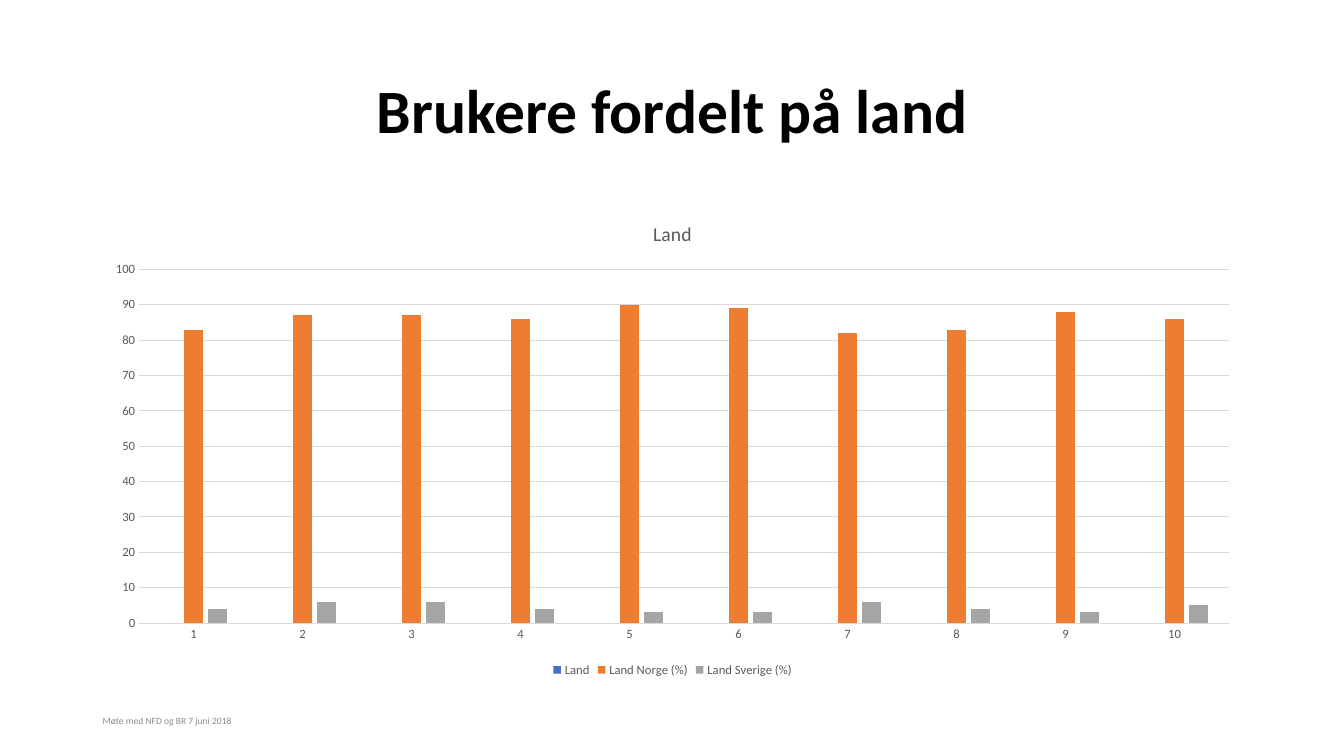
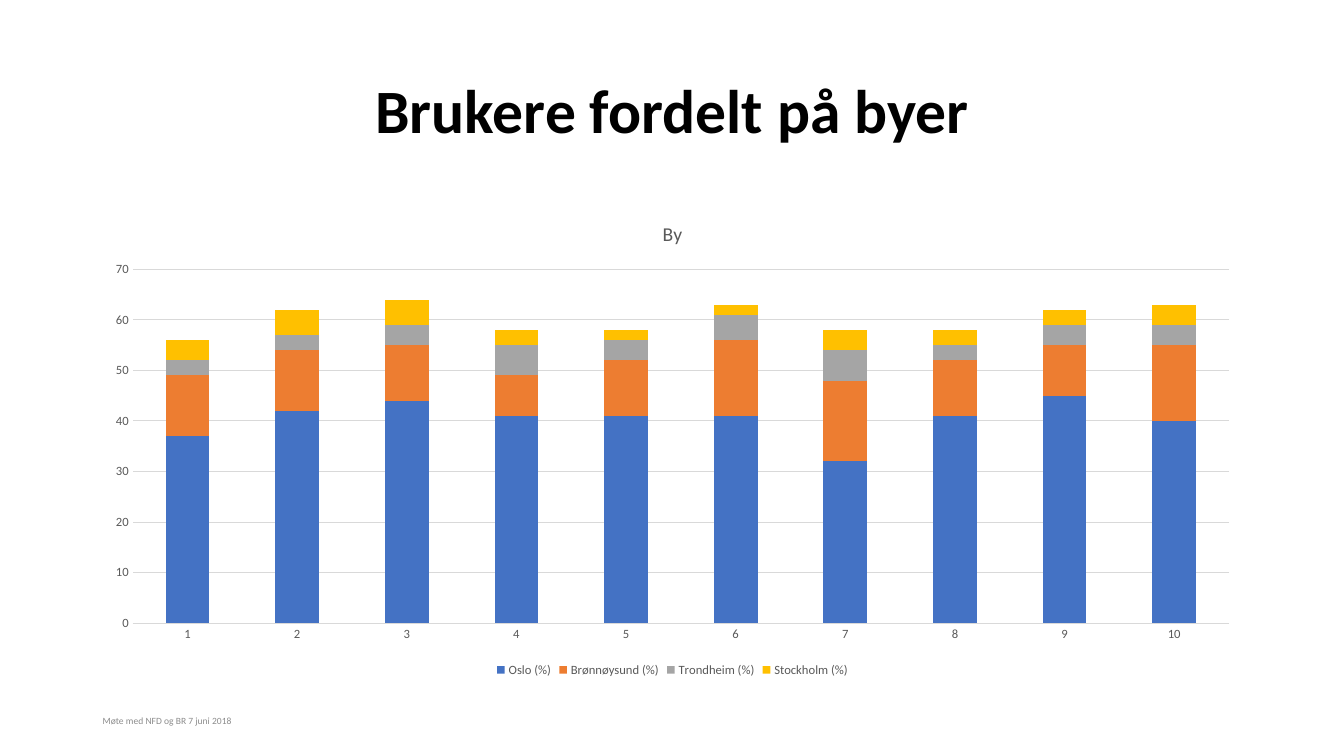
"""Build two slides with column charts of users by country and by city."""
from pptx import Presentation
from pptx.chart.data import CategoryChartData
from pptx.dml.color import RGBColor
from pptx.enum.chart import XL_CHART_TYPE, XL_LEGEND_POSITION, XL_TICK_MARK
from pptx.enum.text import MSO_ANCHOR, PP_ALIGN
from pptx.util import Inches, Pt

CLUSTERED = XL_CHART_TYPE.COLUMN_CLUSTERED
STACKED = XL_CHART_TYPE.COLUMN_STACKED
BOTTOM = XL_LEGEND_POSITION.BOTTOM
NO_TICK = XL_TICK_MARK.NONE
MIDDLE = MSO_ANCHOR.MIDDLE
LEFT, CENTER = PP_ALIGN.LEFT, PP_ALIGN.CENTER

BLACK = RGBColor(0x00, 0x00, 0x00)
FOOTER_GRAY = RGBColor(0x8C, 0x8C, 0x8C)
LABEL_GRAY = RGBColor(0x59, 0x59, 0x59)
GRID_GRAY = RGBColor(0xD9, 0xD9, 0xD9)
BLUE = RGBColor(0x44, 0x72, 0xC4)
ORANGE = RGBColor(0xED, 0x7D, 0x31)
GRAY = RGBColor(0xA5, 0xA5, 0xA5)
YELLOW = RGBColor(0xFF, 0xC0, 0x00)
SERIES_COLORS = (BLUE, ORANGE, GRAY, YELLOW)

FOOTER = "Møte med NFD og BR 7 juni 2018"
CATEGORIES = [str(number) for number in range(1, 11)]
SLIDES = [
    {
        "title": "Brukere fordelt på land",
        "chart_title": "Land",
        "type": CLUSTERED,
        "plot": {"gap_width": 219, "overlap": -27},
        "maximum": 100,
        "series": {
            "Land": [None] * len(CATEGORIES),
            "Land Norge (%)": [83, 87, 87, 86, 90, 89, 82, 83, 88, 86],
            "Land Sverige (%)": [4, 6, 6, 4, 3, 3, 6, 4, 3, 5],
        },
    },
    {
        "title": "Brukere fordelt på byer",
        "chart_title": "By",
        "type": STACKED,
        "plot": {"gap_width": 150, "overlap": 100},
        "maximum": 70,
        "series": {
            "Oslo (%)": [37, 42, 44, 41, 41, 41, 32, 41, 45, 40],
            "Brønnøysund (%)": [12, 12, 11, 8, 11, 15, 16, 11, 10, 15],
            "Trondheim (%)": [3, 3, 4, 6, 4, 5, 6, 3, 4, 4],
            "Stockholm (%)": [4, 5, 5, 3, 2, 2, 4, 3, 3, 4],
        },
    },
]

MARGIN, CONTENT_WIDTH = Inches(0.92), Inches(11.5)
TITLE_BOX = (MARGIN, Inches(0.4), CONTENT_WIDTH, Inches(1.45))
CHART_BOX = (MARGIN, Inches(2), CONTENT_WIDTH, Inches(4.76))
FOOTER_BOX = (MARGIN, Inches(6.95), Inches(3), Inches(0.4))


def set_attributes(target, values):
    for name, value in values.items():
        setattr(target, name, value)


def style_font(font, size, color, bold=False):
    set_attributes(font, {"name": "Calibri", "size": Pt(size), "bold": bold})
    font.color.rgb = color


def style_line(line):
    line.color.rgb = GRID_GRAY
    line.width = Pt(0.75)


def add_text(slide, box, text, size, color, bold=False, alignment=LEFT, spacing=1.0):
    frame = slide.shapes.add_textbox(*box).text_frame
    set_attributes(frame, {"word_wrap": True, "vertical_anchor": MIDDLE})
    paragraph = frame.paragraphs[0]
    set_attributes(paragraph, {"alignment": alignment, "line_spacing": spacing})
    run = paragraph.add_run()
    run.text = text
    style_font(run.font, size, color, bold)


def style_axes(chart, maximum):
    category_axis, value_axis = chart.category_axis, chart.value_axis
    for axis in (category_axis, value_axis):
        set_attributes(axis, {"major_tick_mark": NO_TICK, "minor_tick_mark": NO_TICK})
        style_font(axis.tick_labels.font, 9, LABEL_GRAY)
    style_line(category_axis.format.line)
    set_attributes(value_axis, {
        "minimum_scale": 0, "maximum_scale": maximum,
        "major_unit": 10, "has_major_gridlines": True,
    })
    value_axis.format.line.fill.background()
    style_line(value_axis.major_gridlines.format.line)


def add_column_chart(slide, content):
    data = CategoryChartData(number_format="0")
    data.categories = CATEGORIES
    for name, values in content["series"].items():
        data.add_series(name, values)
    chart = slide.shapes.add_chart(content["type"], *CHART_BOX, data).chart
    style_font(chart.font, 10, BLACK)
    set_attributes(chart, {"has_title": True, "has_legend": True})
    title_frame = chart.chart_title.text_frame
    title_frame.text = content["chart_title"]
    style_font(title_frame.paragraphs[0].runs[0].font, 14, LABEL_GRAY)
    set_attributes(chart.legend, {"position": BOTTOM, "include_in_layout": False})
    style_font(chart.legend.font, 9, LABEL_GRAY)
    style_axes(chart, content["maximum"])
    plot = chart.plots[0]
    set_attributes(plot, {"vary_by_categories": False, **content["plot"]})
    for series, color in zip(plot.series, SERIES_COLORS):
        series.format.fill.solid()
        series.format.fill.fore_color.rgb = color


def main():
    presentation = Presentation()
    set_attributes(presentation, {
        "slide_width": Inches(13.33), "slide_height": Inches(7.5),
    })
    for content in SLIDES:
        slide = presentation.slides.add_slide(presentation.slide_layouts[6])
        add_text(slide, TITLE_BOX, content["title"], 44, BLACK, True, CENTER, 0.9)
        add_text(slide, FOOTER_BOX, FOOTER, 6.8, FOOTER_GRAY)
        add_column_chart(slide, content)
    presentation.save("out.pptx")


if __name__ == "__main__":
    main()
